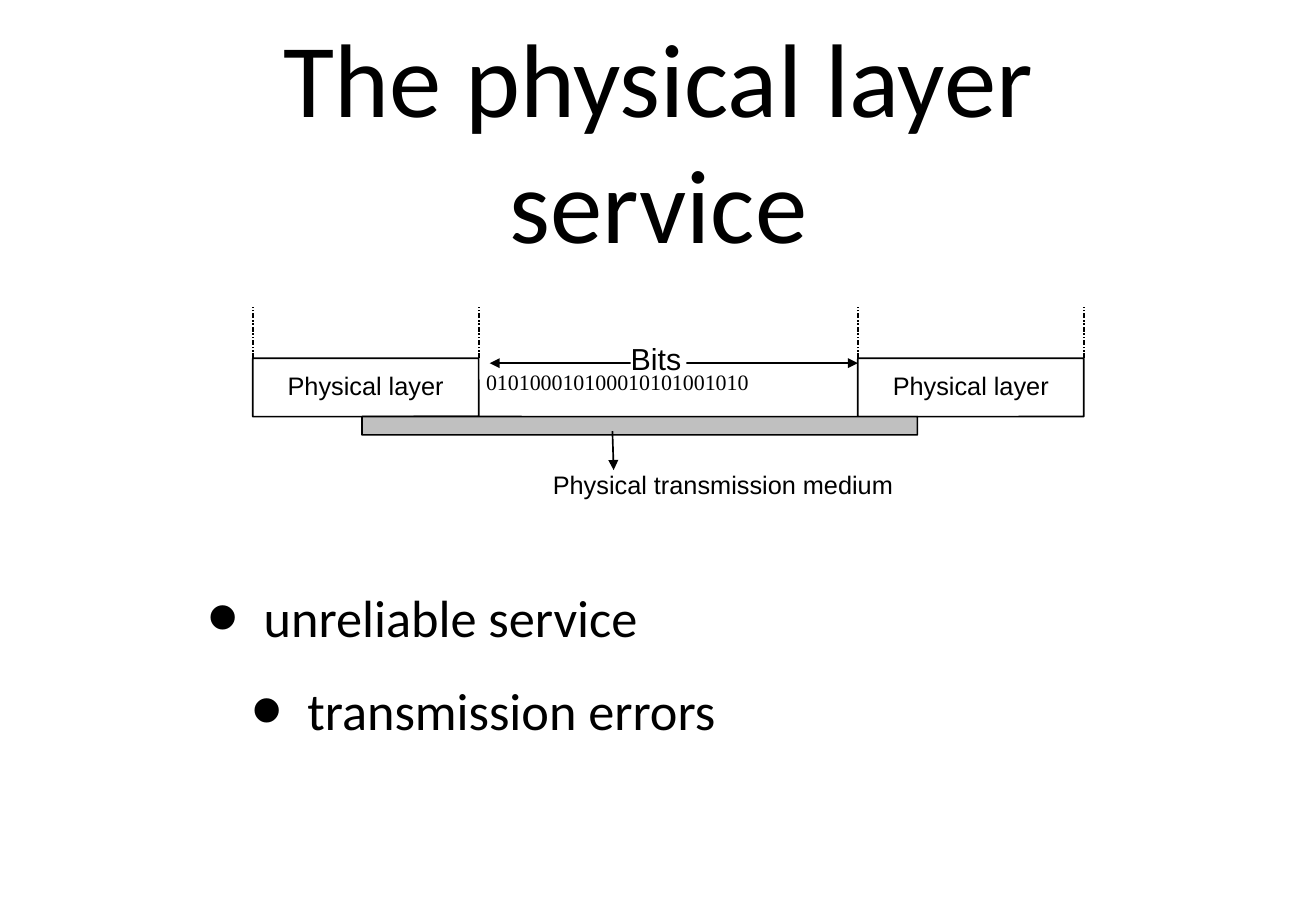
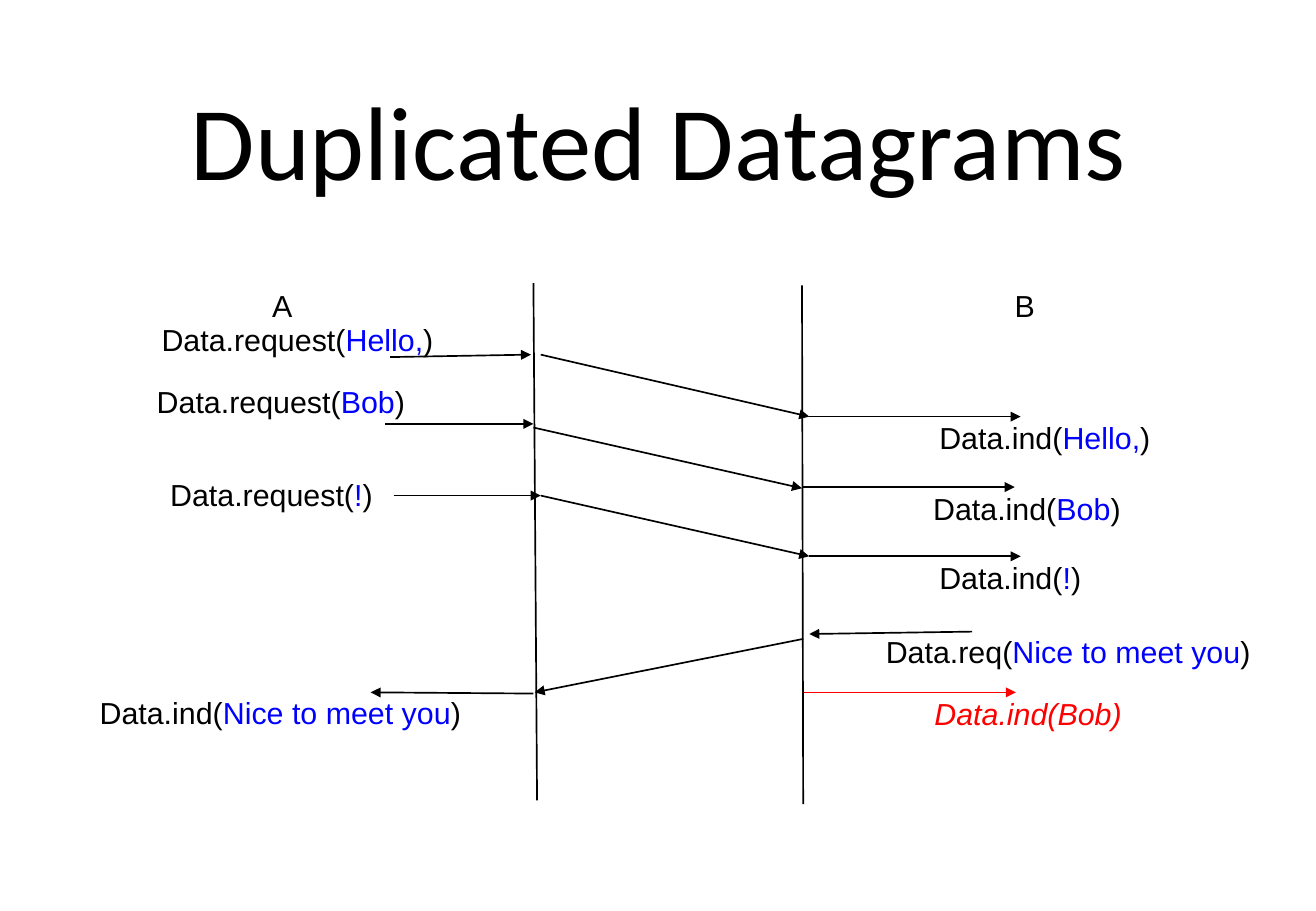
from lxml import etree
from pptx import Presentation
from pptx import util as u
from pptx.dml.color import RGBColor
from pptx.enum import shapes, text
from pptx.oxml.ns import qn

PX = 9144  # EMU per px, 100 px to the inch
COLORS = {"ink": "000000", "paper": "FFFFFF", "medium": "C0C0C0",
          "data": "0000FF", "duplicate": "FF0000"}
TITLE = {"name": "Calibri", "size": u.Pt(62)}
BULLET = {"name": "Calibri", "size": u.Pt(31)}
LABEL = {"name": "Arial", "size": u.Pt(15)}
LARGE = {"name": "Arial", "size": u.Pt(18)}
DIGITS = {"name": "Times New Roman", "size": u.Pt(13)}


def px(*lengths):
    return [u.Emu(n * PX) for n in lengths]


def rgb(name):
    return RGBColor.from_string(COLORS[name])


def set_all(obj, values):
    for name, value in values.items():
        setattr(obj, name, value)


def set_frame(tf, inset=0, wrap=True, anchor=text.MSO_ANCHOR.TOP,
              fit=text.MSO_AUTO_SIZE.NONE):
    set_all(tf, {f"margin_{side}": u.Emu(inset * PX)
                 for side in ("left", "top", "right", "bottom")})
    set_all(tf, {"word_wrap": wrap, "vertical_anchor": anchor, "auto_size": fit})


def write(p, runs, font, spacing=None, align=None):
    """Fill a paragraph with (text, colour name) runs."""
    set_all(p, {"line_spacing": spacing, "alignment": align})
    for words, color in runs:
        r = p.add_run()
        r.text = words
        set_all(r.font, font)
        r.font.color.rgb = rgb(color)


def place_placeholder(sp, box):
    set_all(sp, dict(zip(("left", "top", "width", "height"), px(*box))))
    set_frame(sp.text_frame, 4, anchor=text.MSO_ANCHOR.MIDDLE)
    return sp.text_frame


def add_title(slide, words):
    tf = place_placeholder(slide.shapes.title, (106, 20, 872, 188))
    write(tf.paragraphs[0], [(words, "ink")], TITLE, align=text.PP_ALIGN.CENTER)


def add_label(slide, x, y, w, runs, font=LARGE, h=26):
    """Place one line of text that keeps its own width."""
    sp = slide.shapes.add_textbox(*px(x, y, w, h))
    set_frame(sp.text_frame, wrap=False, fit=text.MSO_AUTO_SIZE.SHAPE_TO_FIT_TEXT)
    write(sp.text_frame.paragraphs[0], runs, font, 0.84)


def add_line(slide, x1, y1, x2, y2, color="ink", dash=None, head=False, tail=False):
    line = slide.shapes.add_connector(shapes.MSO_CONNECTOR.STRAIGHT, *px(x1, y1, x2, y2))
    line.line.color.rgb = rgb(color)
    line.line.width = u.Pt(1)
    ln = line.line._get_or_add_ln()
    if dash:
        etree.SubElement(ln, qn("a:prstDash"), val=dash)
    for tag, wanted in (("a:headEnd", head), ("a:tailEnd", tail)):
        if wanted:
            etree.SubElement(ln, qn(tag), type="triangle")
    etree.SubElement(line._element.spPr, qn("a:effectLst"))


def add_box(slide, x, y, w, h, fill=None):
    sp = slide.shapes.add_shape(shapes.MSO_SHAPE.ROUNDED_RECTANGLE, *px(x, y, w, h))
    sp.adjustments[0] = 0.01
    sp.shadow.inherit = False
    if fill:
        sp.fill.solid()
        sp.fill.fore_color.rgb = rgb(fill)
    else:
        sp.fill.background()
    sp.line.color.rgb = rgb("ink")
    sp.line.width = u.Pt(1)
    return sp


def add_bullets(body, box, lines):
    """Write (text, level) lines, each level 36 px further in."""
    tf = place_placeholder(body, box)
    for i, (words, level) in enumerate(lines):
        p = tf.paragraphs[0] if i == 0 else tf.add_paragraph()
        p.level = level
        pPr = p._p.get_or_add_pPr()
        pPr.set("marL", str((71 + 36 * level) * PX))
        pPr.set("indent", str(-46 * PX))
        etree.SubElement(pPr, qn("a:buSzPct"), val="171000")
        etree.SubElement(pPr, qn("a:buFont"), typeface="Arial")
        etree.SubElement(pPr, qn("a:buChar"), char="•")
        p.space_before = u.Pt(17.6 if i else 0)
        write(p, [(words, "ink")], BULLET, align=text.PP_ALIGN.LEFT)


def add_layer_diagram(slide, left, top):
    box_w, box_h, box_top = 186, 48, top + 42
    far_box = left + 498
    for x in (left, far_box):
        sp = add_box(slide, x, box_top, box_w, box_h)
        set_frame(sp.text_frame, anchor=text.MSO_ANCHOR.MIDDLE)
        write(sp.text_frame.paragraphs[0], [("Physical layer", "ink")], LABEL,
              0.84, text.PP_ALIGN.CENTER)
        for edge in (x, x + box_w):
            add_line(slide, edge, box_top, edge, top, dash="sysDashDotDot")

    add_box(slide, left + 90, box_top + box_h, 457, 15, "medium")
    add_line(slide, left + 296, top + 102, left + 297, top + 134, tail=True)
    add_label(slide, left + 247, top + 137, 283,
              [("Physical transmission medium", "ink")], LABEL, 22)

    add_line(slide, left + 195, top + 46, far_box, top + 46, head=True, tail=True)
    bits = slide.shapes.add_textbox(*px(left + 311, top + 32, 46, 27))
    bits.fill.solid()
    bits.fill.fore_color.rgb = rgb("paper")
    set_frame(bits.text_frame)
    write(bits.text_frame.paragraphs[0], [("Bits", "ink")], LARGE, 0.84)
    stream = slide.shapes.add_textbox(*px(left + 192, top + 52, 303, 27))
    set_frame(stream.text_frame)
    write(stream.text_frame.paragraphs[0],
          [("010100010100010101001010", "ink")], DIGITS, 0.93)


def primitive(name, data):
    return [(f"Data.{name}(", "ink"), (data, "data"), (")", "ink")]


def add_sequence_diagram(slide, left, top):
    def arrow(x1, y1, x2, y2, **kw):
        add_line(slide, left + x1, top + y1, left + x2, top + y2, **kw)

    def label(x, y, w, runs, font=LARGE):
        add_label(slide, left + x, top + y, w, runs, font)

    def indication(x, y, w, runs, color="ink", font=LARGE):
        """Draw a delivery at host B, its label under the arrow."""
        arrow(x, y, x + 174, y, color=color, tail=True)
        label(x + 107, y + 7, w, runs, font)

    arrow(357, 0, 360, 426)
    arrow(578, 2, 579, 429)
    label(142, 8, 17, [("A", "ink")])
    label(753, 8, 17, [("B", "ink")])

    # data, request label, request arrow, crossing arrow, indication
    messages = [
        ("Hello,", (51, 36, 226), (239, 61, 355, 59), (363, 59, 584, 110), (584, 110, 175)),
        ("Bob", (47, 87, 206), (235, 116, 357, 116), (357, 119, 578, 169), (579, 168, 156)),
        ("!", (58, 164, 168), (242, 175, 363, 175), (363, 175, 584, 225), (584, 225, 118)),
    ]
    for data, request, entry, crossing, delivery in messages:
        label(*request, primitive("request", data))
        arrow(*entry, tail=True)
        arrow(*crossing, tail=True)
        indication(*delivery, primitive("ind", data))

    reply = "Nice to meet you"
    for ends in ((718, 287, 584, 289), (579, 293, 358, 337), (357, 338, 223, 337)):
        arrow(*ends, tail=True)
    label(647, 293, 303, primitive("req", reply))
    label(0, 343, 300, primitive("ind", reply))
    indication(580, 337, 156, [("Data.ind(Bob)", "duplicate")], "duplicate",
               {**LARGE, "italic": True})


def build_physical_layer(prs):
    slide = prs.slides.add_slide(prs.slide_layouts.get_by_name("Title and Content"))
    add_title(slide, "The physical layer service")
    add_bullets(slide.placeholders[1], (106, 440, 872, 212),
                [("unreliable service", 1), ("transmission errors", 2)])
    add_layer_diagram(slide, 208, 253)


def build_duplicated_datagrams(prs):
    slide = prs.slides.add_slide(prs.slide_layouts.get_by_name("Title Only"))
    add_title(slide, "Duplicated Datagrams")
    add_sequence_diagram(slide, 82, 233)


def main():
    prs = Presentation()
    prs.slide_width, prs.slide_height = px(1083, 750)
    build_physical_layer(prs)
    build_duplicated_datagrams(prs)
    prs.save("out.pptx")


if __name__ == "__main__":
    main()
